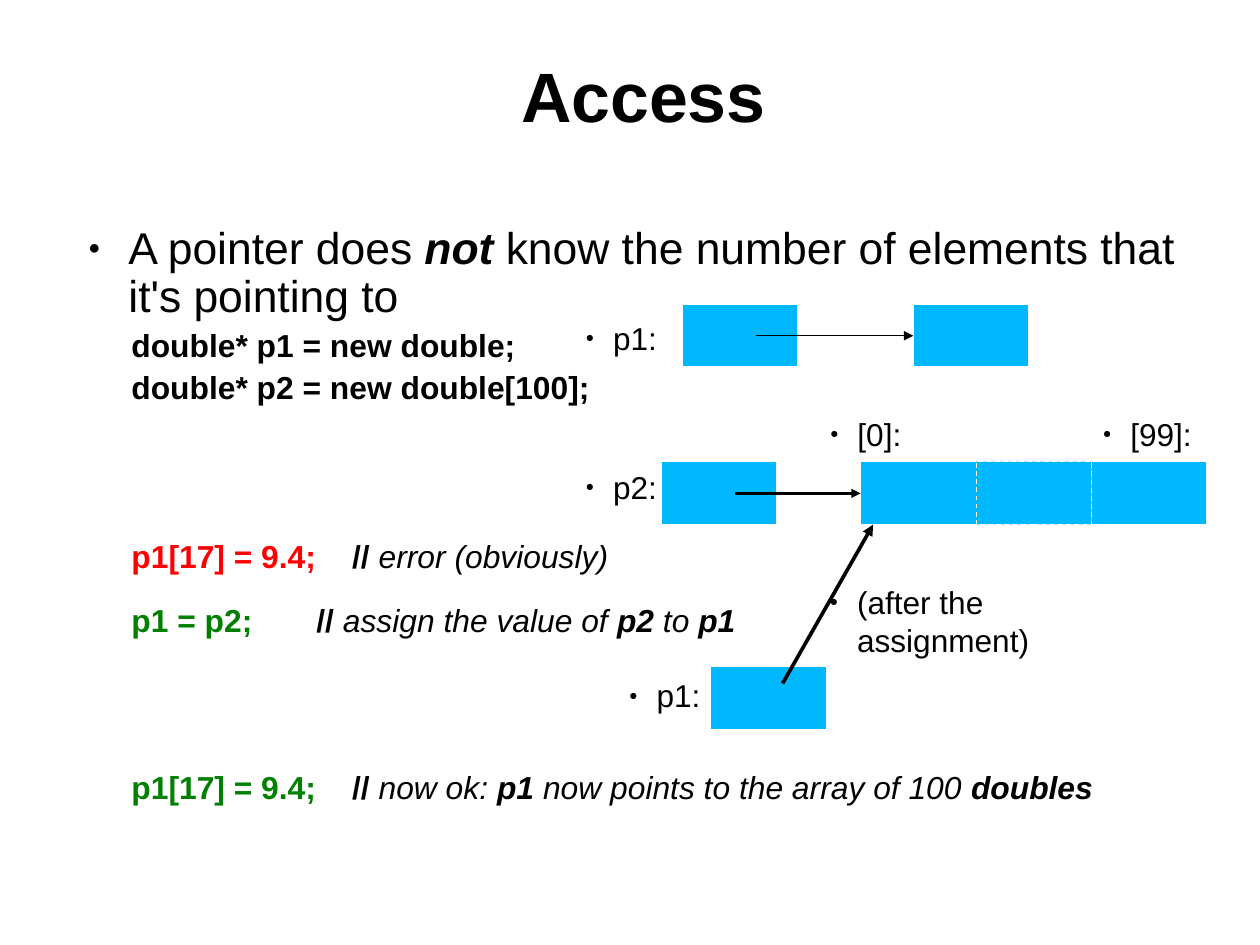
"""Build the slide on pointer access to single objects and arrays."""
from dataclasses import dataclass

from lxml import etree
from pptx import Presentation
from pptx import util as u
from pptx.dml.color import RGBColor
from pptx.enum import dml, shapes, text
from pptx.oxml.ns import qn

FONT = "Arial"
BLACK = RGBColor(0, 0, 0)
WHITE = RGBColor(255, 255, 255)
RED = RGBColor(255, 0, 0)
GREEN = RGBColor(0, 128, 0)
CELL_BLUE = RGBColor(0, 184, 255)
SLIDE_WIDTH, SLIDE_HEIGHT = 793.7, 595.28
CELL_WIDTH, CELL_HEIGHT = 72.7, 39.6
ARRAY_LEFT, ARRAY_TOP = 542.2, 290.8
LINE_SPACING = 0.9
CODE_SIZE, LABEL_SIZE = 20, 19.9


@dataclass(frozen=True)
class Run:
    text: str
    color: RGBColor = BLACK
    bold: bool = False
    italic: bool = False


@dataclass(frozen=True)
class CodeLine:
    runs: tuple[Run, ...]
    space_before: float = 5
    comment_tab: float | None = None


@dataclass(frozen=True)
class Cell:
    left: float
    top: float
    dashed: bool = False


@dataclass(frozen=True)
class Arrow:
    start: tuple[float, float]
    end: tuple[float, float]
    width: float


@dataclass(frozen=True)
class Label:
    text: str
    left: float
    top: float
    width: float
    height: float = 31


SLASHES = Run("\t// ", bold=True)
CODE = (
    CodeLine((Run("double* p1 = new double;", bold=True),), 0),
    CodeLine((Run("double* p2 = new double[100];", bold=True),)),
    CodeLine((Run("p1[17] = 9.4;", RED, True), SLASHES,
              Run("error (obviously)", italic=True)), 85, 139),
    CodeLine((Run("p1 = p2;", GREEN, True), SLASHES,
              Run("assign the value of ", italic=True),
              Run("p2", bold=True, italic=True), Run(" to ", italic=True),
              Run("p1", bold=True, italic=True)), 18.5, 116.5),
    CodeLine((Run("p1[17] = 9.4;", GREEN, True), SLASHES,
              Run("now ok: ", italic=True), Run("p1", bold=True, italic=True),
              Run(" now points to the array of 100 ", italic=True),
              Run("doubles", bold=True, italic=True)), 84, 139),
)
CELLS = (
    Cell(429.8, 191.5), Cell(575.3, 191.5), Cell(416.7, ARRAY_TOP), Cell(447.7, 419.7),
    *(Cell(ARRAY_LEFT + index * CELL_WIDTH, ARRAY_TOP, index == 1) for index in (0, 2, 1)),
)
ARROWS = (
    Arrow((476, 211.5), (575.3, 211.5), 0.75),
    Arrow((463, 310.8), (ARRAY_LEFT, 310.8), 1.5),
    Arrow((493, 430.5), (550, 330.5), 2.3),
)
LABELS = (
    Label("p1:", 361.8, 197.3, 67.7),
    Label("p2:", 361.8, 291, 60),
    Label("p1:", 389.2, 422.4, 60),
    Label("(after the assignment)", 515.5, 363.6, 211.7, 55.4),
    Label("[0]:", 515.8, 257.8, 67.7),
    Label("[99]:", 687.6, 257.8, 73),
)


def add_runs(paragraph, runs: tuple[Run, ...], size: float) -> None:
    for item in runs:
        run = paragraph.add_run()
        run.text = item.text
        font = run.font
        font.name, font.size = FONT, u.Pt(size)
        font.bold, font.italic = item.bold, item.italic
        font.color.rgb = item.color


def set_indent(paragraph, left: float, first: float) -> None:
    properties = paragraph._p.get_or_add_pPr()
    properties.set("marL", str(u.Pt(left)))
    properties.set("indent", str(u.Pt(first)))


def add_bullet(paragraph) -> None:
    properties = paragraph._p.get_or_add_pPr()
    color = etree.SubElement(properties, qn("a:buClr"))
    etree.SubElement(color, qn("a:srgbClr"), val=str(BLACK))
    etree.SubElement(properties, qn("a:buSzPct"), val="45000")
    etree.SubElement(properties, qn("a:buFont"), typeface=FONT)
    etree.SubElement(properties, qn("a:buChar"), char="●")


def add_frame(slide, left: float, top: float, width: float, height: float, *,
              side: float = 0, edge: float = 0):
    box = slide.shapes.add_textbox(u.Pt(left), u.Pt(top), u.Pt(width), u.Pt(height))
    frame = box.text_frame
    frame.word_wrap = True
    frame.margin_left, frame.margin_right = u.Pt(side), 0
    frame.margin_top = frame.margin_bottom = u.Pt(edge)
    return frame


def add_bulleted_text(frame, runs: tuple[Run, ...], *, size: float, left: float,
                      hanging: float, spacing: float = 1.0) -> None:
    paragraph = frame.paragraphs[0]
    paragraph.line_spacing = spacing
    set_indent(paragraph, left, -hanging)
    add_bullet(paragraph)
    add_runs(paragraph, runs, size)


def add_code(slide, lines: tuple[CodeLine, ...]) -> None:
    frame = add_frame(slide, 82.8, 207.7, 691, 310)
    for index, line in enumerate(lines):
        paragraph = frame.add_paragraph() if index else frame.paragraphs[0]
        paragraph.line_spacing = LINE_SPACING
        paragraph.space_before = u.Pt(line.space_before)
        if line.comment_tab is not None:
            tabs = etree.SubElement(paragraph._p.get_or_add_pPr(), qn("a:tabLst"))
            etree.SubElement(tabs, qn("a:tab"), pos=str(u.Pt(line.comment_tab)), algn="l")
        add_runs(paragraph, line.runs, CODE_SIZE)


def add_cell(slide, cell: Cell) -> None:
    shape = slide.shapes.add_shape(
        shapes.MSO_SHAPE.RECTANGLE, u.Pt(cell.left), u.Pt(cell.top),
        u.Pt(CELL_WIDTH), u.Pt(CELL_HEIGHT))
    shape.shadow.inherit = False
    shape.fill.solid()
    shape.fill.fore_color.rgb = CELL_BLUE
    shape.line.color.rgb = WHITE
    shape.line.width = u.Pt(0.75)
    if cell.dashed:
        shape.line.dash_style = dml.MSO_LINE.DASH


def add_arrow(slide, arrow: Arrow) -> None:
    connector = slide.shapes.add_connector(
        shapes.MSO_CONNECTOR.STRAIGHT, *map(u.Pt, arrow.start + arrow.end))
    connector.line.color.rgb = BLACK
    connector.line.width = u.Pt(arrow.width)
    etree.SubElement(connector.line._get_or_add_ln(), qn("a:tailEnd"), type="triangle")
    etree.SubElement(connector._element.spPr, qn("a:effectLst"))


def add_title(slide, wording: str) -> None:
    title = slide.shapes.title
    title.left, title.top, title.width, title.height = map(u.Pt, (39.6, 0, 714.2, 118.8))
    title.text_frame.vertical_anchor = text.MSO_ANCHOR.MIDDLE
    paragraph = title.text_frame.paragraphs[0]
    paragraph.alignment = text.PP_ALIGN.CENTER
    set_indent(paragraph, 17.3, 0)
    add_runs(paragraph, (Run(wording, bold=True),), 44)


def main() -> None:
    presentation = Presentation()
    presentation.slide_width, presentation.slide_height = u.Pt(SLIDE_WIDTH), u.Pt(SLIDE_HEIGHT)
    slide = presentation.slides.add_slide(presentation.slide_layouts[5])
    add_title(slide, "Access")
    statement = (Run("A pointer does "), Run("not", bold=True, italic=True),
                 Run(" know the number of elements that it's pointing to"))
    add_bulleted_text(add_frame(slide, 39.6, 139, 734.4, 67, side=7.2, edge=3.6),
                      statement, size=28, left=34.2, hanging=25.2, spacing=LINE_SPACING)
    add_code(slide, CODE)
    for cell in CELLS:
        add_cell(slide, cell)
    for arrow in ARROWS:
        add_arrow(slide, arrow)
    for label in LABELS:
        frame = add_frame(slide, label.left, label.top, label.width, label.height,
                          side=7.2, edge=3.6)
        add_bulleted_text(frame, (Run(label.text),), size=LABEL_SIZE, left=17.3, hanging=17.3)
    presentation.save("out.pptx")


if __name__ == "__main__":
    main()
